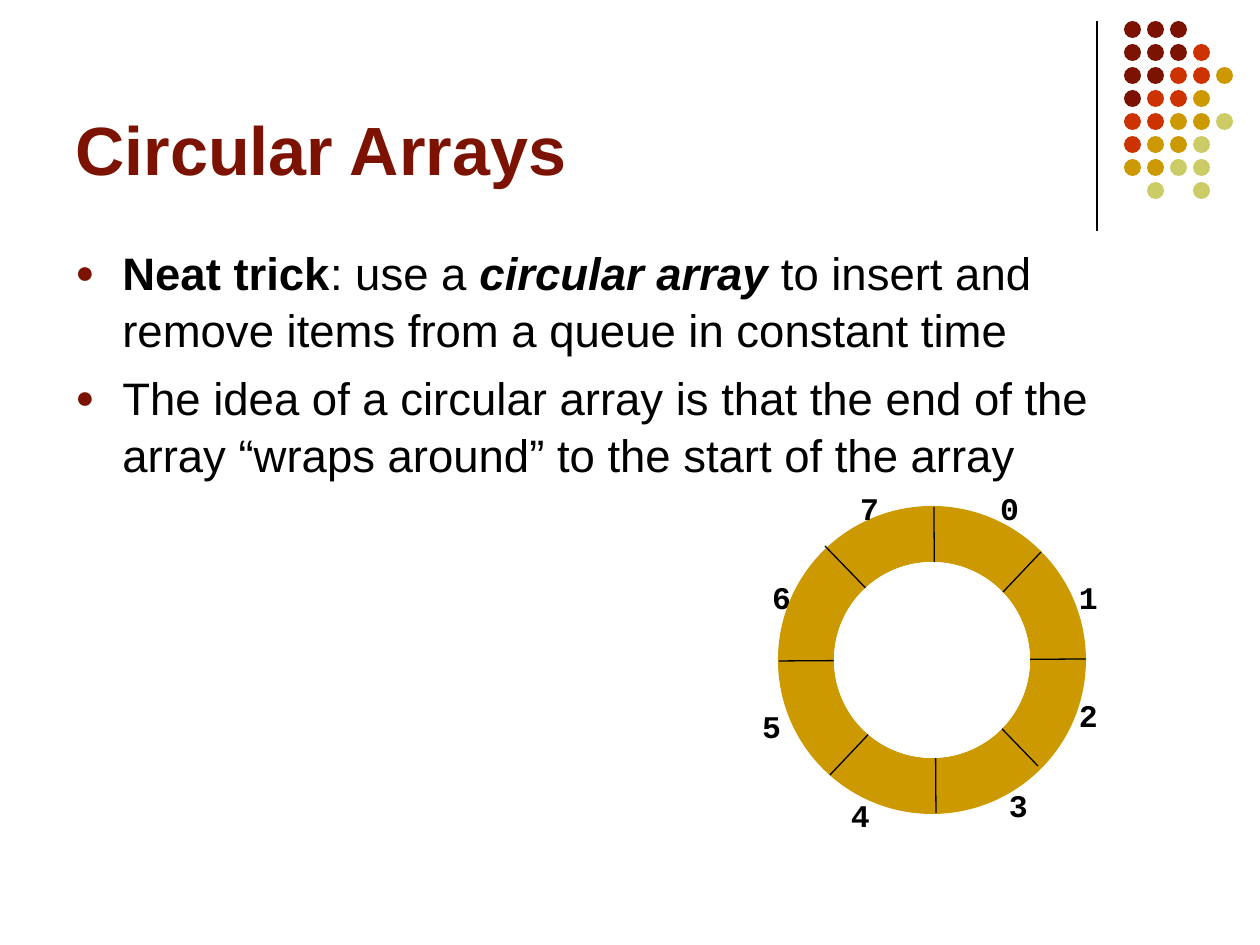
from lxml.etree import SubElement
from pptx import Presentation
from pptx.dml.color import RGBColor
from pptx.enum.shapes import MSO_CONNECTOR, MSO_SHAPE
from pptx.enum.text import MSO_ANCHOR, MSO_AUTO_SIZE, PP_ALIGN
from pptx.oxml.ns import qn
from pptx.util import Emu, Pt

# Content
TITLE = "Circular Arrays"
POINTS = [
    [("Neat trick", {"bold": True}), (": use a ", {}),
     ("circular array", {"bold": True, "italic": True}),
     (" to insert and remove items from a queue in constant time", {})],
    [("The idea of a circular array is that the end of the array "
      "“wraps around” to the start of the array", {})],
]
# Index labels: text, left, top; the last one lies over the ring
INDEXES = [("0", 978, 483), ("1", 1057, 572), ("3", 987, 780), ("2", 1057, 690),
           ("4", 829, 790), ("5", 740, 701), ("6", 750, 572), ("7", 838, 483)]
SPOKES = [(934, 507, 936, 813), (779, 661, 1086, 659),
          (825, 546, 1038, 766), (1041, 552, 830, 775)]
DOT_ROWS = ["mmm", "mmmr", "mmrrg", "mrrg", "rrggl", "rggl", "ggll", " l l"]

COLORS = {"m": "7C1302", "r": "CC3300", "g": "CC9900", "l": "CCCC66",
          "ink": "000000", "paper": "FFFFFF"}
TITLE_FONT = {"name": "Arial", "size": Pt(39), "bold": True}
BODY_FONT = {"name": "Arial", "size": Pt(26), "bold": False, "italic": False}
INDEX_FONT = {"name": "Courier New", "size": Pt(18), "bold": True}

# Geometry in px
PX = 914400 // 126
RING_CENTER = (932, 660)
RING_SIZE, HOLE_SIZE = 252, 196
DOT_LEFT, DOT_TOP, DOT_SIZE, DOT_STEP = 1124, 21, 17, 23


def px(*lengths):
    return [Emu(length * PX) for length in lengths]


def rgb(key):
    return RGBColor.from_string(COLORS[key])


def set_font(font, values, color):
    for name, value in values.items():
        setattr(font, name, value)
    font.color.rgb = rgb(color)


def add_circle(left, top, size, fill=None, line=None, width=0):
    circle = slide.shapes.add_shape(MSO_SHAPE.OVAL, *px(left, top, size, size))
    circle.shadow.inherit = False
    if fill:
        circle.fill.solid()
        circle.fill.fore_color.rgb = rgb(fill)
    else:
        circle.fill.background()
    if line:
        circle.line.color.rgb = rgb(line)
        circle.line.width = Pt(width)
    else:
        circle.line.fill.background()


def add_line(*ends):
    line = slide.shapes.add_connector(MSO_CONNECTOR.STRAIGHT, *px(*ends))
    line.line.color.rgb = rgb("ink")
    line.line.width = Pt(0.75)
    SubElement(line._element.spPr, qn("a:effectLst"))


def add_bullet(paragraph):
    props = paragraph._p.get_or_add_pPr()
    indent = 47 * PX
    props.set("marL", str(indent))
    props.set("indent", str(-indent))
    color = SubElement(props, qn("a:buClr"))
    SubElement(color, qn("a:srgbClr"), val=COLORS["m"])
    SubElement(props, qn("a:buSzPct"), val="70000")
    SubElement(props, qn("a:buFont"), typeface="Arial")
    SubElement(props, qn("a:buChar"), char="●")


def add_index(text, left, top):
    frame = slide.shapes.add_textbox(*px(left, top, 63, 50)).text_frame
    frame.word_wrap = True
    frame.auto_size = MSO_AUTO_SIZE.SHAPE_TO_FIT_TEXT
    paragraph = frame.paragraphs[0]
    paragraph.alignment = PP_ALIGN.CENTER
    run = paragraph.add_run()
    run.text = text
    set_font(run.font, INDEX_FONT, "ink")


def add_centered_circle(size, **style):
    x, y = RING_CENTER
    add_circle(x - size // 2, y - size // 2, size, **style)


deck = Presentation()
deck.slide_width, deck.slide_height = px(1260, 945)
slide = deck.slides.add_slide(deck.slide_layouts[5])

# Corner decoration
add_line(1097, 21, 1097, 231)
for row, dots in enumerate(DOT_ROWS):
    for column, color in enumerate(dots):
        if color != " ":
            add_circle(DOT_LEFT + column * DOT_STEP, DOT_TOP + row * DOT_STEP,
                       DOT_SIZE, fill=color)

# Title
title = slide.shapes.title
title.left, title.top, title.width, title.height = px(63, 16, 1040, 179)
title.text_frame.text = TITLE
title.text_frame.vertical_anchor = MSO_ANCHOR.BOTTOM
heading = title.text_frame.paragraphs[0]
heading.alignment = PP_ALIGN.LEFT
set_font(heading.runs[0].font, TITLE_FONT, "m")

# Bullet points
body = slide.shapes.add_textbox(*px(63, 237, 1134, 607)).text_frame
body.word_wrap = True
for number, point in enumerate(POINTS):
    paragraph = body.add_paragraph() if number else body.paragraphs[0]
    paragraph.line_spacing = 1.04
    paragraph.space_before = Pt(6.5)
    add_bullet(paragraph)
    for text, emphasis in point:
        run = paragraph.add_run()
        run.text = text
        set_font(run.font, BODY_FONT | emphasis, "ink")

# Circular array
for index in INDEXES[:-1]:
    add_index(*index)
add_centered_circle(RING_SIZE, line="g", width=32)
for spoke in SPOKES:
    add_line(*spoke)
add_centered_circle(HOLE_SIZE, fill="paper")
add_index(*INDEXES[-1])

deck.save("out.pptx")
